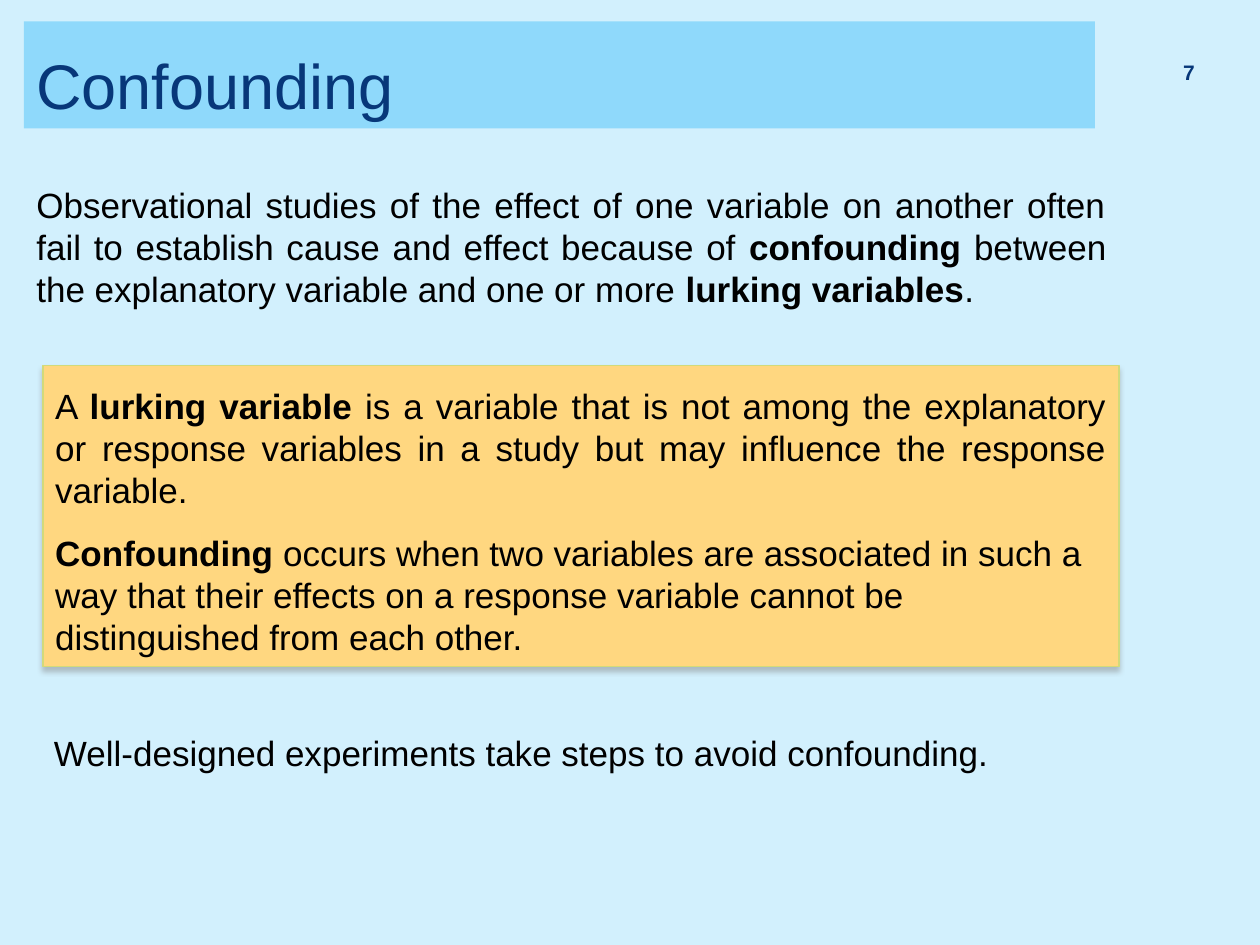
from lxml import etree
from pptx import Presentation
from pptx.dml.color import RGBColor
from pptx.enum.shapes import MSO_SHAPE
from pptx.enum.text import MSO_ANCHOR, PP_ALIGN
from pptx.oxml.ns import qn
from pptx.util import Inches, Pt

SKY = RGBColor(0xD2, 0xF0, 0xFD)
BANNER = RGBColor(0x8F, 0xD9, 0xFB)
NAVY = RGBColor(0x07, 0x37, 0x79)
BLACK = RGBColor(0, 0, 0)
AMBER = RGBColor(0xFF, 0xD7, 0x80)
OLIVE = RGBColor(0xD2, 0xDA, 0x7A)

RECTANGLE = MSO_SHAPE.RECTANGLE
TOP, MIDDLE, BOTTOM = MSO_ANCHOR.TOP, MSO_ANCHOR.MIDDLE, MSO_ANCHOR.BOTTOM
LEFT, RIGHT, JUSTIFY = PP_ALIGN.LEFT, PP_ALIGN.RIGHT, PP_ALIGN.JUSTIFY


class PageBuilder:
    """Holds the style and the current page; areas are percentages of the page size."""

    font_name = "Arial"
    body_size = 20

    def __init__(self, deck):
        self.deck = deck
        self.page = deck.slides.add_slide(deck.slide_layouts[6])
        self.page.background.fill.solid()
        self.page.background.fill.fore_color.rgb = SKY

    def place(self, area):
        left, top, width, height = area
        across, down = self.deck.slide_width / 100, self.deck.slide_height / 100
        return (round(left * across), round(top * down),
                round(width * across), round(height * down))

    def panel(self, area, fill, line=None):
        panel = self.page.shapes.add_shape(RECTANGLE, *self.place(area))
        panel.shadow.inherit = False
        panel.fill.solid()
        panel.fill.fore_color.rgb = fill
        if line is None:
            panel.line.fill.background()
        else:
            panel.line.color.rgb = line
            panel.line.width = Pt(0.79)
        return panel

    def text_box(self, area):
        return self.page.shapes.add_textbox(*self.place(area))

    def drop_shadow(self, shape):
        effects = shape._element.spPr.find(qn("a:effectLst"))
        shadow = etree.SubElement(effects, qn("a:outerShdw"), blurRad=str(Pt(3)),
                                  dist=str(Pt(2.4)), dir="5400000", rotWithShape="0")
        color = etree.SubElement(shadow, qn("a:srgbClr"), val="808080")
        etree.SubElement(color, qn("a:alpha"), val="45000")

    def add_text(self, box, paragraphs, anchor=TOP, size=body_size, color=BLACK, bold=None):
        """Fill a box with (alignment, spans) pairs; every second span is bold."""
        frame = box.text_frame
        frame.word_wrap = True
        frame.vertical_anchor = anchor
        for index, (alignment, spans) in enumerate(paragraphs):
            para = frame.paragraphs[0] if index == 0 else frame.add_paragraph()
            para.alignment = alignment
            para.font.name = self.font_name
            para.font.size = Pt(size)
            para.font.color.rgb = color
            para.font.bold = bold
            for position, text in enumerate(spans):
                if not text:
                    continue
                span = para.add_run()
                span.text = text
                if position % 2:
                    span.font.bold = True
        return frame


def main():
    deck = Presentation()
    deck.slide_width, deck.slide_height = Inches(10), Inches(7.5)
    builder = PageBuilder(deck)

    title = builder.panel((1.9, 2.27, 85, 11.33), BANNER)
    builder.add_text(title, [(LEFT, ["Confounding"])], BOTTOM, 36, NAVY)

    page_number = builder.text_box((90.3, 5.2, 5.5, 5.33))
    number_frame = builder.add_text(page_number, [(RIGHT, ["7"])], MIDDLE, 12, NAVY, True)
    number_frame.paragraphs[0].line_spacing = 0.8

    introduction = builder.text_box((1.9, 18.8, 86.9, 14.8))
    builder.add_text(introduction, [(JUSTIFY, [
        "Observational studies of the effect of one variable on another often fail "
        "to establish cause and effect because of ",
        "confounding ",
        "between the explanatory variable and one or more ",
        "lurking variables",
        "."])])

    definitions = builder.panel((3.4, 38.67, 85.4, 31.87), AMBER, OLIVE)
    builder.drop_shadow(definitions)
    definition_frame = builder.add_text(definitions, [
        (JUSTIFY, [
            "A ",
            "lurking variable ",
            "is a variable that is not among the explanatory or response variables "
            "in a study but may influence the response variable."]),
        (LEFT, [
            "",
            "Confounding ",
            "occurs when two variables are associated in such a way that their effects "
            "on a response variable cannot be distinguished from each other."])])
    definition_frame.margin_top = Inches(0.15)
    definition_frame.paragraphs[0].space_after = Pt(12)

    conclusion = builder.text_box((3.3, 76.8, 88.1, 5.87))
    builder.add_text(conclusion, [
        (LEFT, ["Well-designed experiments take steps to avoid confounding."])])

    deck.save("out.pptx")


if __name__ == "__main__":
    main()
